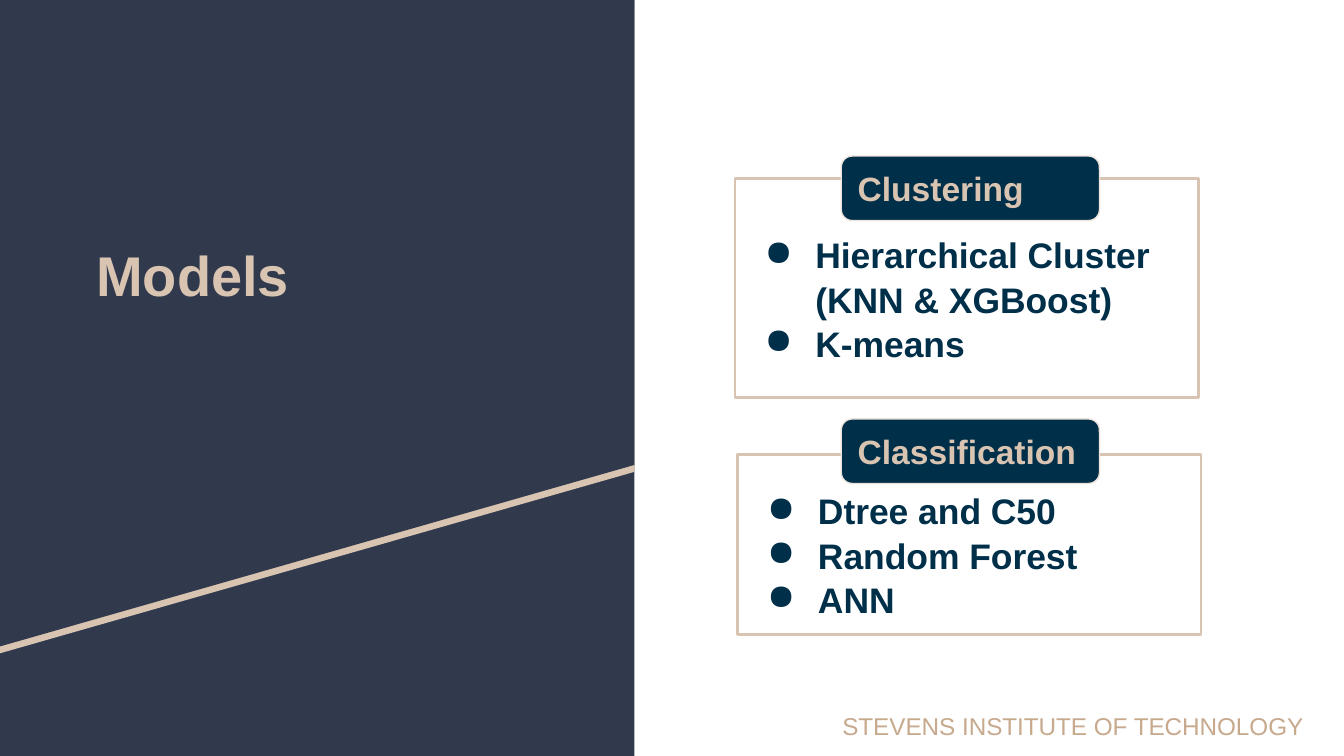
from dataclasses import dataclass

from lxml import etree
from pptx import Presentation
from pptx.dml.color import RGBColor
from pptx.enum.shapes import MSO_SHAPE
from pptx.enum.text import MSO_ANCHOR, PP_ALIGN
from pptx.oxml.ns import qn
from pptx.util import Cm, Pt

RECTANGLE, ROUNDED = MSO_SHAPE.RECTANGLE, MSO_SHAPE.ROUNDED_RECTANGLE
TOP, MIDDLE = MSO_ANCHOR.TOP, MSO_ANCHOR.MIDDLE
LEFT = PP_ALIGN.LEFT
TITLE_ONLY = 5


@dataclass(frozen=True)
class Theme:
    font: str = "Arial"
    panel: RGBColor = RGBColor(0x31, 0x39, 0x4D)
    navy: RGBColor = RGBColor(0x00, 0x2F, 0x4A)
    sand: RGBColor = RGBColor(0xD9, 0xC4, 0xB1)
    pale: RGBColor = RGBColor(0xED, 0xE3, 0xDA)
    footer: RGBColor = RGBColor(0xC7, 0xA9, 0x8D)
    title_size: int = 30
    body_size: int = 19
    label_size: int = 18
    footer_size: int = 13


theme = Theme()


def set_frame(shape, anchor, top=0.25, bottom=0.25):
    """Prepare a wrapping text frame; insets are in centimetres."""
    frame = shape.text_frame
    frame.word_wrap = True
    frame.vertical_anchor = anchor
    frame.margin_left = frame.margin_right = Cm(0.25)
    frame.margin_top, frame.margin_bottom = Cm(top), Cm(bottom)
    return frame


def add_text(paragraph, text, size, color, bold=True):
    paragraph.alignment = LEFT
    run = paragraph.add_run()
    run.text = text
    run.font.name = theme.font
    run.font.size = Pt(size)
    run.font.bold = bold
    run.font.color.rgb = color


presentation = Presentation()
presentation.slide_width, presentation.slide_height = Cm(25.4), Cm(14.29)
slide = presentation.slides.add_slide(presentation.slide_layouts[TITLE_ONLY])
shapes = slide.shapes

# Dark left panel
panel = shapes.add_shape(RECTANGLE, 0, 0, Cm(11.99), presentation.slide_height)
panel.shadow.inherit = False
panel.fill.solid()
panel.fill.fore_color.rgb = theme.panel
panel.line.fill.background()

# Slanted stripe: a sand area with a dark one shifted up over it
for offset, color in ((0.13, theme.sand), (0, theme.panel)):
    builder = shapes.build_freeform(0, Cm(offset))
    builder.add_line_segments([
        (Cm(11.99), Cm(offset)),
        (Cm(11.99), Cm(8.79 + offset)),
        (0, Cm(12.22 + offset)),
    ])
    area = builder.convert_to_shape()
    area.shadow.inherit = False
    area.fill.solid()
    area.fill.fore_color.rgb = color
    area.line.fill.background()

# Title, brought in front of the panel
title = shapes.title
title.left, title.top, title.width, title.height = Cm(1.57), Cm(4.19), Cm(8.76), Cm(5.64)
title.element.getparent().append(title.element)
title_frame = set_frame(title, TOP, top=0.35)
add_text(title_frame.paragraphs[0], "Models", theme.title_size, theme.sand)

# Model groups: label, label top, box left, top, height, text inset, lines (text, bulleted)
groups = [
    ("Classification", 7.92, 13.94, 8.59, 3.4, 0.63,
     [("Dtree and C50", True), ("Random Forest", True), ("ANN", True)]),
    ("Clustering", 2.95, 13.89, 3.38, 4.14, 1.0,
     [("Hierarchical Cluster", True), ("(KNN & XGBoost)", False), ("K-means", True)]),
]
for label, label_top, left, top, height, inset, lines in groups:
    box = shapes.add_shape(RECTANGLE, Cm(left), Cm(top), Cm(8.76), Cm(height))
    box.shadow.inherit = False
    box.fill.background()
    box.line.color.rgb = theme.sand
    box.line.width = Pt(1.5)
    frame = set_frame(box, TOP, top=inset)
    for index, (text, bulleted) in enumerate(lines):
        paragraph = frame.add_paragraph() if index else frame.paragraphs[0]
        paragraph.line_spacing = 1.04
        properties = paragraph._p.get_or_add_pPr()
        properties.set("marL", str(Cm(1.27)))
        properties.set("indent", str(-Cm(0.96) if bulleted else 0))
        if bulleted:
            bullet_color = etree.SubElement(properties, qn("a:buClr"))
            etree.SubElement(bullet_color, qn("a:srgbClr"), val=str(theme.navy))
            etree.SubElement(properties, qn("a:buChar"), char="●")
        add_text(paragraph, text, theme.body_size, theme.navy)

    tag = shapes.add_shape(ROUNDED, Cm(15.9), Cm(label_top), Cm(4.88), Cm(1.22))
    tag.shadow.inherit = False
    tag.adjustments[0] = 0.17
    tag.fill.solid()
    tag.fill.fore_color.rgb = theme.navy
    tag.line.color.rgb = theme.pale
    tag.line.width = Pt(0.75)
    tag_frame = set_frame(tag, MIDDLE)
    add_text(tag_frame.paragraphs[0], label, theme.label_size, theme.sand)

# Footer
footer = shapes.add_textbox(Cm(15.67), Cm(13.31), Cm(9.4), Cm(0.81))
footer_frame = set_frame(footer, TOP, top=0.13, bottom=0.13)
add_text(footer_frame.paragraphs[0], "STEVENS INSTITUTE OF TECHNOLOGY",
         theme.footer_size, theme.footer, bold=False)

presentation.save("out.pptx")
